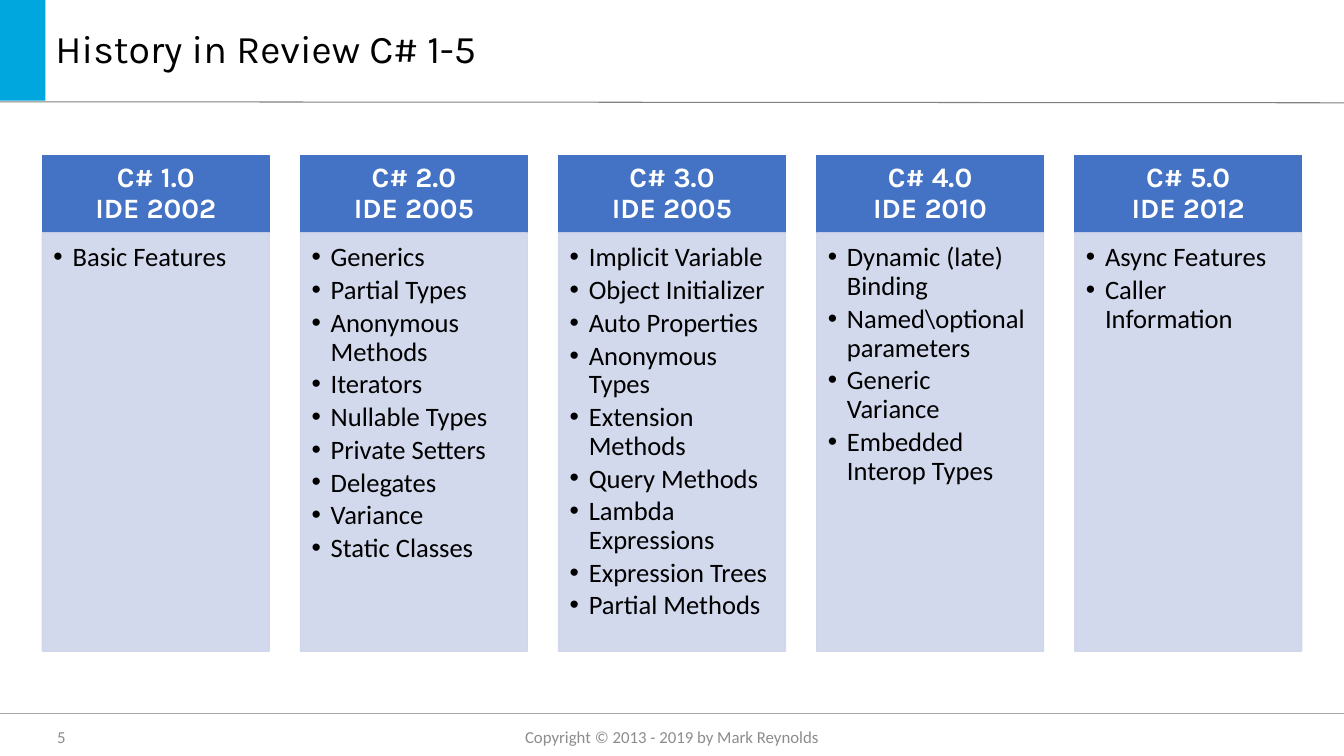
from dataclasses import dataclass

from lxml import etree
from pptx import Presentation
from pptx import util as u
from pptx.dml.color import RGBColor
from pptx.enum import shapes, text
from pptx.oxml.ns import qn


@dataclass(frozen=True)
class Theme:
    accent: str = "00A6DE"
    header: str = "4472C4"
    panel: str = "CFD5EA"
    ink: str = "000000"
    white: str = "FFFFFF"
    muted: str = "8C8C8C"
    title_rule: str = "808080"
    footer_rule: str = "A6A6A6"
    heading_font: str = "Karla"
    body_font: str = "Calibri"
    title_size: float = 28
    header_size: float = 20
    bullet_size: float = 19
    footer_size: float = 12
    panel_opacity: int = 90
    line_spacing: float = 0.9


@dataclass(frozen=True)
class Grid:
    """Five equal columns, each with a header row above a body row, in inches."""
    left: float = 0.42
    top: float = 1.54
    width: float = 2.25
    gap: float = 0.31
    header: float = 0.77
    body: float = 4.15

    def x(self, column: int) -> float:
        return self.left + column * (self.width + self.gap)


@dataclass(frozen=True)
class Style:
    font: str
    size: float
    color: str
    bold: bool = False


@dataclass(frozen=True)
class Version:
    language: str
    tooling: str
    features: tuple[str, ...]


THEME = Theme()
GRID = Grid()
WIDTH, HEIGHT = 13.33, 7.5
TITLE_STYLE = Style(THEME.heading_font, THEME.title_size, THEME.ink)
HEADER_STYLE = Style(THEME.heading_font, THEME.header_size, THEME.white, True)
BULLET_STYLE = Style(THEME.body_font, THEME.bullet_size, THEME.ink)
FOOTER_STYLE = Style(THEME.body_font, THEME.footer_size, THEME.muted)

VERSIONS = (
    Version("C# 1.0", "IDE 2002", ("Basic Features",)),
    Version("C# 2.0", "IDE 2005", (
        "Generics", "Partial Types", "Anonymous Methods", "Iterators", "Nullable Types",
        "Private Setters", "Delegates", "Variance", "Static Classes")),
    Version("C# 3.0", "IDE 2005", (
        "Implicit Variable", "Object Initializer", "Auto Properties", "Anonymous Types",
        "Extension Methods", "Query Methods", "Lambda Expressions", "Expression Trees",
        "Partial Methods")),
    Version("C# 4.0", "IDE 2010", (
        "Dynamic (late) Binding", "Named\\optional parameters", "Generic Variance",
        "Embedded Interop Types")),
    Version("C# 5.0", "IDE 2012", ("Async Features", "Caller Information")),
)


def add_span(para, words: str, style: Style) -> None:
    span = para.add_run()
    span.text = words
    span.font.name = style.font
    span.font.size = u.Pt(style.size)
    span.font.bold = style.bold
    span.font.color.rgb = RGBColor.from_string(style.color)


def set_frame(frame, anchor, insets=(0.1, 0.05, 0.1, 0.05)) -> None:
    frame.word_wrap = True
    frame.auto_size = text.MSO_AUTO_SIZE.NONE
    frame.vertical_anchor = anchor
    frame.margin_left, frame.margin_top, frame.margin_right, frame.margin_bottom = map(
        u.Inches, insets)


def add_block(page, x: float, y: float, w: float, h: float, color: str, outlined: bool = True):
    box = page.shapes.add_shape(
        shapes.MSO_SHAPE.RECTANGLE, *map(u.Inches, (x, y, w, h)))
    box.shadow.inherit = False
    box.fill.solid()
    box.fill.fore_color.rgb = RGBColor.from_string(color)
    if outlined:
        box.line.color.rgb = RGBColor.from_string(color)
        box.line.width = u.Pt(1)
    else:
        box.line.fill.background()
    return box


def add_rule(page, y_start: float, y_end: float, color: str) -> None:
    rule = page.shapes.add_connector(
        shapes.MSO_CONNECTOR.STRAIGHT, *map(u.Inches, (0, y_start, WIDTH, y_end)))
    rule.line.color.rgb = RGBColor.from_string(color)
    rule.line.width = u.Pt(0.75)
    etree.SubElement(rule.element.spPr, qn("a:effectLst"))


def add_footer(page, x: float, w: float, words: str, align) -> None:
    box = page.shapes.add_textbox(*map(u.Inches, (x, 7.16, w, 0.3)))
    set_frame(box.text_frame, text.MSO_ANCHOR.MIDDLE)
    para = box.text_frame.paragraphs[0]
    para.alignment = align
    add_span(para, words, FOOTER_STYLE)


def set_title(page, words: str) -> None:
    title = page.shapes.title
    title.left, title.top, title.width, title.height = map(u.Inches, (0.45, 0, 10.5, 1))
    set_frame(title.text_frame, text.MSO_ANCHOR.MIDDLE)
    para = title.text_frame.paragraphs[0]
    para.alignment = text.PP_ALIGN.LEFT
    para.line_spacing = THEME.line_spacing
    add_span(para, words, TITLE_STYLE)


def set_opacity(box, percent: int) -> None:
    for color in box.element.spPr.iter(qn("a:srgbClr")):
        etree.SubElement(color, qn("a:alpha")).set("val", str(percent * 1000))


def set_bullet(para, indent: float) -> None:
    props = para._p.get_or_add_pPr()
    props.set("marL", str(u.Inches(indent)))
    props.set("indent", str(-u.Inches(indent)))
    etree.SubElement(props, qn("a:buFont")).set("typeface", "Arial")
    etree.SubElement(props, qn("a:buChar")).set("char", "•")


def add_version(page, column: int, version: Version) -> None:
    x = GRID.x(column)

    # Header cell
    header = add_block(page, x, GRID.top, GRID.width, GRID.header, THEME.header)
    set_frame(header.text_frame, text.MSO_ANCHOR.MIDDLE, (0.16, 0.09, 0.16, 0.09))
    para = header.text_frame.paragraphs[0]
    para.alignment = text.PP_ALIGN.CENTER
    para.line_spacing = THEME.line_spacing
    add_span(para, version.language, HEADER_STYLE)
    para.add_line_break()
    add_span(para, version.tooling, HEADER_STYLE)

    # Feature list
    panel = add_block(
        page, x, GRID.top + GRID.header, GRID.width, GRID.body, THEME.panel)
    set_opacity(panel, THEME.panel_opacity)
    frame = panel.text_frame
    set_frame(frame, text.MSO_ANCHOR.TOP, (0.11, 0.11, 0.15, 0.17))
    for index, feature in enumerate(version.features):
        para = frame.add_paragraph() if index else frame.paragraphs[0]
        para.alignment = text.PP_ALIGN.LEFT
        para.line_spacing = THEME.line_spacing
        para.space_after = u.Pt(0.15 * THEME.bullet_size)
        set_bullet(para, 0.19)
        add_span(para, feature, BULLET_STYLE)


def main() -> None:
    deck = Presentation()
    deck.slide_width, deck.slide_height = u.Inches(WIDTH), u.Inches(HEIGHT)
    page = deck.slides.add_slide(deck.slide_layouts.get_by_name("Title Only"))

    # Title band
    add_block(page, 0, 0, 0.45, 1, THEME.accent, outlined=False)
    add_rule(page, 1.01, 1.02, THEME.title_rule)
    set_title(page, "History in Review C# 1-5")

    # Footer
    add_rule(page, 7.08, 7.08, THEME.footer_rule)
    add_footer(page, 2, 9.33, "Copyright © 2013 - 2019 by Mark Reynolds", text.PP_ALIGN.CENTER)
    add_footer(page, 0.25, 0.5, "5", text.PP_ALIGN.RIGHT)

    # Version columns
    for column, version in enumerate(VERSIONS):
        add_version(page, column, version)

    deck.save("out.pptx")


if __name__ == "__main__":
    main()
